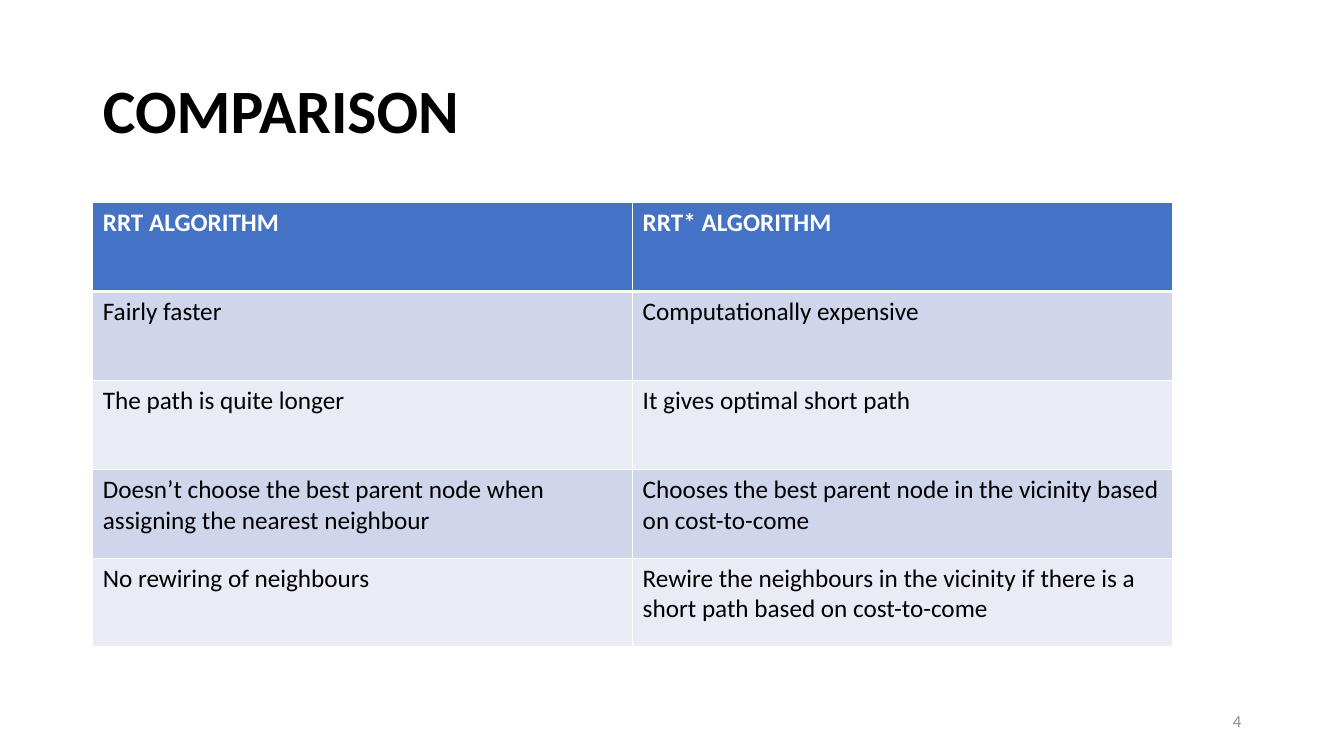
import pptx
import pptx.util
import pptx.dml.color
import pptx.enum.text
import pptx.oxml.ns
from lxml import etree

WIDTH, HEIGHT = 13.33, 7.5
MARGIN = 0.92
FONT = "Calibri"
BLACK, WHITE, GREY = "000000", "FFFFFF", "8C8C8C"
HEADER_FILL = "4472C4"
BAND_FILLS = ["CFD5EA", "E9EBF5"]
COMPARISON = [
    ("RRT ALGORITHM", "RRT* ALGORITHM"),
    ("Fairly faster", "Computationally expensive"),
    ("The path is quite longer", "It gives optimal short path"),
    ("Doesn’t choose the best parent node when assigning the nearest neighbour",
     "Chooses the best parent node in the vicinity based on cost-to-come"),
    ("No rewiring of neighbours",
     "Rewire the neighbours in the vicinity if there is a short path based on cost-to-come"),
]


def rgb(color):
    return pptx.dml.color.RGBColor.from_string(color)


def inches(*lengths):
    return [pptx.util.Inches(length) for length in lengths]


def write(tf, text, size, color, bold=False, align="LEFT"):
    tf.text = text
    p = tf.paragraphs[0]
    p.alignment = getattr(pptx.enum.text.PP_ALIGN, align)
    font = p.runs[0].font
    font.name = FONT
    font.size = pptx.util.Pt(size)
    font.bold = bold
    font.color.rgb = rgb(color)
    return p


def add_title(s, text):
    sp = s.shapes.title
    sp.left, sp.top, sp.width, sp.height = inches(MARGIN, 0.4, WIDTH - 2 * MARGIN, 1.45)
    tf = sp.text_frame
    tf.vertical_anchor = pptx.enum.text.MSO_ANCHOR.MIDDLE
    write(tf, text, 44, BLACK, bold=True).line_spacing = 0.9


def set_border(cell, side, points):
    """Draw one white edge; call before filling the cell, as the schema orders lines first."""
    ln = etree.SubElement(cell._tc.get_or_add_tcPr(), pptx.oxml.ns.qn(f"a:ln{side}"),
                          w=str(pptx.util.Pt(points)))
    fill = etree.SubElement(ln, pptx.oxml.ns.qn("a:solidFill"))
    etree.SubElement(fill, pptx.oxml.ns.qn("a:srgbClr"), val=WHITE)


def add_comparison_table(s, rows):
    n_rows, n_cols = len(rows), len(rows[0])
    frame = s.shapes.add_table(n_rows, n_cols, *inches(MARGIN, 2.01, 10.71, 4.41))
    table = frame.table
    for i, row in enumerate(rows):
        header = i == 0
        for j, text in enumerate(row):
            cell = table.cell(i, j)
            write(cell.text_frame, text, 18, WHITE if header else BLACK, bold=header)
            for side in "LRTB":
                thick = (side == "B" and header) or (side == "T" and i == 1)
                set_border(cell, side, 3 if thick else 1)
            cell.fill.solid()
            cell.fill.fore_color.rgb = rgb(HEADER_FILL if header else BAND_FILLS[(i - 1) % 2])


def add_slide_number(s, number):
    width = 3
    sp = s.shapes.add_textbox(*inches(WIDTH - MARGIN - width, 6.95, width, 0.4))
    tf = sp.text_frame
    tf.word_wrap = True
    tf.vertical_anchor = pptx.enum.text.MSO_ANCHOR.MIDDLE
    write(tf, number, 12, GREY, align="RIGHT")


def main():
    prs = pptx.Presentation()
    prs.slide_width, prs.slide_height = inches(WIDTH, HEIGHT)
    s = prs.slides.add_slide(prs.slide_layouts.get_by_name("Title Only"))
    add_title(s, "COMPARISON")
    add_comparison_table(s, COMPARISON)
    add_slide_number(s, "4")
    prs.save("out.pptx")


if __name__ == "__main__":
    main()
